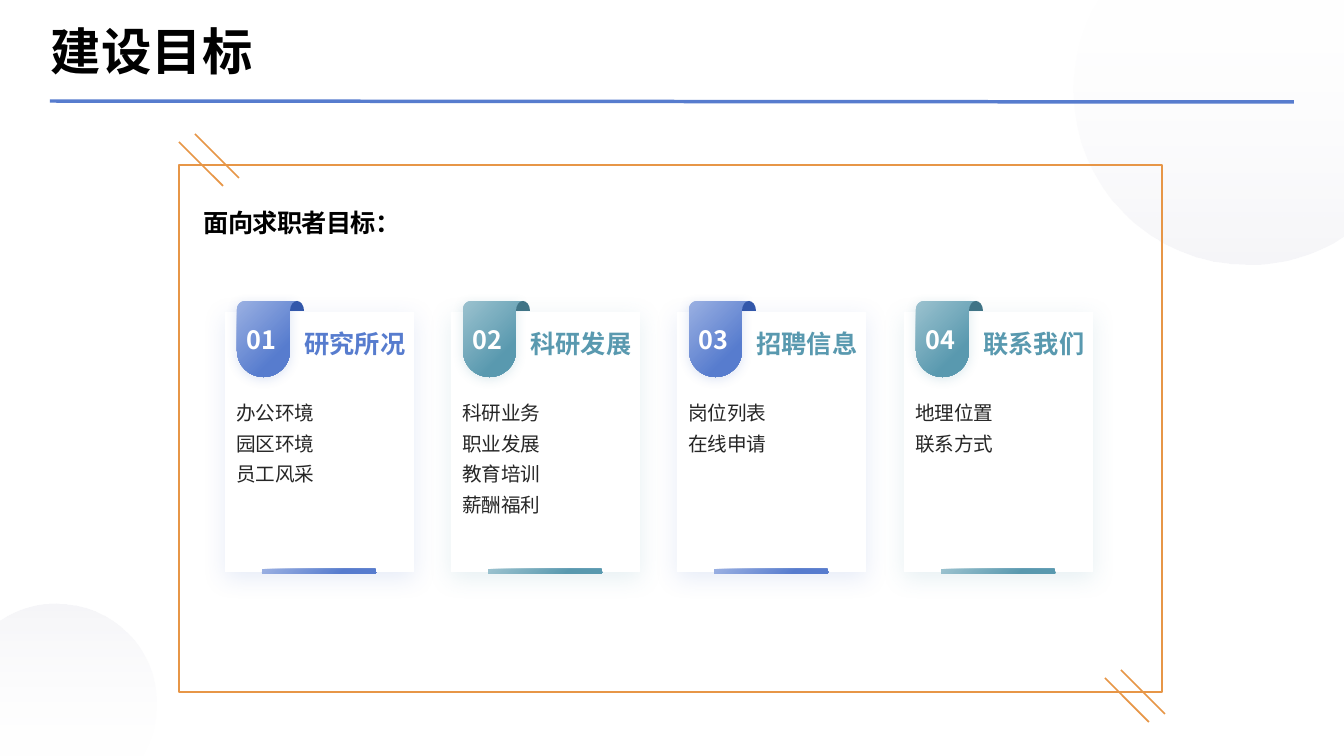
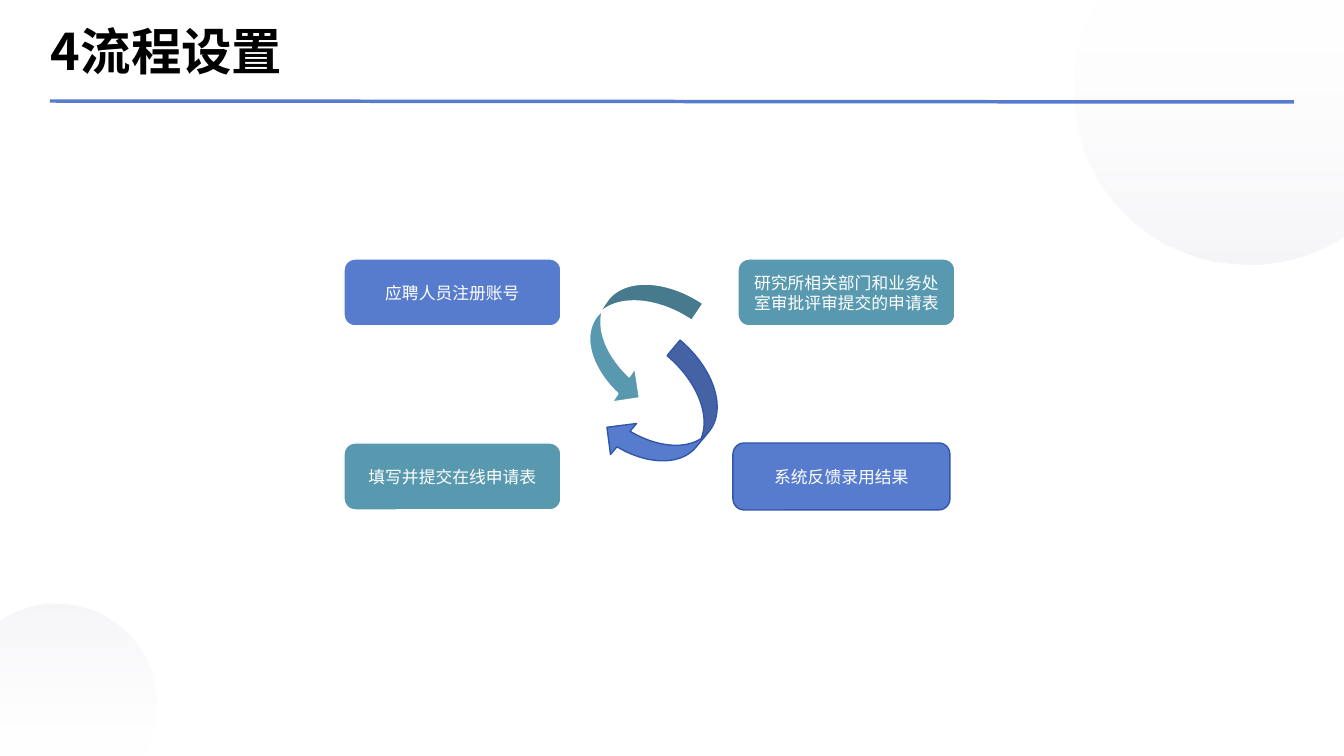
import math

from lxml import etree
from pptx import Presentation
from pptx import util as u
from pptx.dml.color import RGBColor
from pptx.enum import shapes, text
from pptx.oxml.ns import qn

SCALE = u.Inches(1) / 100.8
WIDTH, HEIGHT = 1344, 756
FONT = "Noto Sans CJK SC"
BLUE, BLUE_LIGHT, BLUE_DARK = "577CCE", "9AB0E2", "3257AA"
TEAL, TEAL_LIGHT, TEAL_DARK = "5999AF", "9BC2CF", "407486"
ORANGE, WHITE, BLACK, GREY = "E79647", "FFFFFF", "000000", "262626"
BLUES = (BLUE, BLUE_LIGHT, BLUE_DARK)
TEALS = (TEAL, TEAL_LIGHT, TEAL_DARK)
LEFT, CENTER = text.PP_ALIGN.LEFT, text.PP_ALIGN.CENTER
TOP, MIDDLE = text.MSO_ANCHOR.TOP, text.MSO_ANCHOR.MIDDLE
PRESET = shapes.MSO_SHAPE

# Heading, palette, heading colour, items
CARDS = [
    ("研究所况", BLUES, BLUE, ["办公环境", "园区环境", "员工风采"]),
    ("科研发展", TEALS, TEAL, ["科研业务", "职业发展", "教育培训", "薪酬福利"]),
    ("招聘信息", BLUES, TEAL, ["岗位列表", "在线申请"]),
    ("联系我们", TEALS, TEAL, ["地理位置", "联系方式"]),
]
# Left, top, fill, outline, wording
STEPS = [
    (344, 259, BLUE, WHITE, "应聘人员注册账号"),
    (344, 443, TEAL, WHITE, "填写并提交在线申请表"),
    (738, 259, TEAL, WHITE, "研究所相关部门和业务处室审批评审提交的申请表"),
    (733, 443, BLUE, BLUE_DARK, "系统反馈录用结果"),
]
# Preset, left, top, rotation, fill, outline
ARROWS = [
    (PRESET.CURVED_UP_ARROW, 565, 296, 124, TEAL, WHITE),
    (PRESET.CURVED_DOWN_ARROW, 601, 377, 130, BLUE, BLUE_DARK),
]


def px(value):
    return u.Emu(round(value * SCALE))


def rgb(color):
    return RGBColor.from_string(color)


# Fills, lines and effects
def paint(shape, fill=None, line=None, line_width=1):
    shape.shadow.inherit = False
    if fill:
        shape.fill.solid()
        shape.fill.fore_color.rgb = rgb(fill)
    else:
        shape.fill.background()
    if line:
        shape.line.color.rgb = rgb(line)
        shape.line.width = u.Pt(line_width)
    else:
        shape.line.fill.background()


def add_alpha(color_element, percent):
    etree.SubElement(color_element, qn("a:alpha"), val=str(percent * 1000))


def paint_gradient(shape, stops, angle):
    """Each stop is (position in percent, colour, opacity in percent)."""
    paint(shape)
    shape.fill.gradient()
    shape.fill.gradient_angle = 360 - angle
    for stop, (position, color, _) in zip(shape.fill.gradient_stops, stops):
        stop.position = position / 100
        stop.color.rgb = rgb(color)
    colors = shape.element.spPr.find(qn("a:gradFill")).iter(qn("a:srgbClr"))
    for element, (_, _, opacity) in zip(list(colors), stops):
        if opacity < 100:
            add_alpha(element, opacity)


def paint_accent(shape, palette):
    paint_gradient(shape, [(0, palette[1], 100), (71, palette[0], 100)], 45)


def cast_shadow(shape, color, opacity, blur, distance):
    effects = shape.element.spPr.find(qn("a:effectLst"))
    shadow = etree.SubElement(
        effects, qn("a:outerShdw"), blurRad=str(u.Pt(blur)),
        dist=str(u.Pt(distance)), dir="5400000", algn="t", rotWithShape="0")
    add_alpha(etree.SubElement(shadow, qn("a:srgbClr"), val=color), opacity)


# Elements
def add_preset(slide, preset, left, top, width, height):
    return slide.shapes.add_shape(preset, px(left), px(top), px(width), px(height))


def add_line(slide, start, end, color, width):
    line = slide.shapes.add_connector(
        shapes.MSO_CONNECTOR.STRAIGHT, *map(px, start), *map(px, end))
    line.line.color.rgb = rgb(color)
    line.line.width = u.Pt(width)
    etree.SubElement(line.element.spPr, qn("a:effectLst"))


def curve(center_x, center_y, radius_x, radius_y, *angles):
    """Bezier segments of an elliptical arc through the given angles."""
    def place(angle, pull):
        cosine, sine = math.cos(angle), math.sin(angle)
        return (center_x + radius_x * (cosine - pull * sine),
                center_y + radius_y * (sine + pull * cosine))

    radians = [math.radians(angle) for angle in angles]
    segments = []
    for start, end in zip(radians, radians[1:]):
        pull = 4 / 3 * math.tan((end - start) / 4)
        segments.append([place(start, pull), place(end, -pull), place(end, 0)])
    return segments


def add_outline(slide, start, segments):
    """A segment of one point is a line, one of three points a Bezier curve."""
    builder = slide.shapes.build_freeform(*map(px, start), scale=1.0)
    builder.add_line_segments(
        [(px(x), px(y)) for segment in segments for x, y in segment], close=True)
    shape = builder.convert_to_shape()
    lines = iter(list(shape.element.spPr.iter(qn("a:lnTo"))))
    for segment in segments:
        first, *others = [next(lines) for _ in segment]
        if others:
            bezier = etree.Element(qn("a:cubicBezTo"))
            first.addprevious(bezier)
            for line in (first, *others):
                bezier.append(line[0])
                line.getparent().remove(line)
    return shape


def write(shape, lines, size, color, bold=False, align=LEFT, anchor=MIDDLE,
          insets=(0, 0, 0, 0), wrap=True, spacing=None, font=FONT):
    frame = shape.text_frame
    frame.word_wrap = wrap
    frame.vertical_anchor = anchor
    (frame.margin_left, frame.margin_top,
     frame.margin_right, frame.margin_bottom) = map(px, insets)
    frame.text = "\n".join(lines)
    for paragraph in frame.paragraphs:
        paragraph.alignment = align
        if spacing:
            paragraph.line_spacing = spacing
        paragraph.font.size = u.Pt(size)
        paragraph.font.bold = bold
        paragraph.font.color.rgb = rgb(color)
        paragraph.font.name = font
        etree.SubElement(font_element(paragraph), qn("a:ea"), typeface=FONT)
    return frame


def font_element(paragraph):
    return paragraph._p.pPr.find(qn("a:defRPr"))


def add_text(slide, left, top, width, height, lines, size, color, **style):
    box = slide.shapes.add_textbox(px(left), px(top), px(width), px(height))
    return write(box, lines, size, color, **style)


# Shared background, title and rule
def add_corner_circles(slide):
    clear, tinted = (WHITE, 10), ("D8D8E4", 24)
    x, y, radius = 1248, 91, 174
    right = math.degrees(math.acos((WIDTH - x) / radius))
    top = 180 + math.degrees(math.asin(y / radius))
    arcs = curve(x, y, radius, radius, right, 90, 180, top)
    circle = add_outline(slide, (WIDTH, 0), [[(WIDTH, arcs[0][0][1])]][:0]
                         + [[(WIDTH, y + radius * math.sin(math.radians(right)))]] + arcs)
    paint_gradient(circle, [(0, *clear), (100, *tinted)], 90)

    x, y, radius = 56, 704, 100
    left = 180 + math.degrees(math.acos(x / radius))
    bottom = 360 + math.degrees(math.asin((HEIGHT - y) / radius))
    arcs = curve(x, y, radius, radius, left, 270, 360, bottom)
    edge = y + radius * math.sin(math.radians(left))
    circle = add_outline(slide, (0, HEIGHT), [[(0, edge)]] + arcs)
    paint_gradient(circle, [(0, *tinted), (100, *clear)], 90)


def add_titled_slide(presentation, title):
    slide = presentation.slides.add_slide(presentation.slide_layouts[6])
    add_corner_circles(slide)
    add_line(slide, (50, 101), (1294, 102), BLUE, 2.5)
    add_text(slide, 51, 17, 1243, 67, [title], 36, BLACK, bold=True)
    return slide


# Goals slide
def add_frame(slide):
    frame = add_preset(slide, PRESET.RECTANGLE, 179, 165, 983, 527)
    paint(frame, line=ORANGE, line_width=1.5)
    for shift_x, shift_y in [(0, 0), (926, 536)]:
        for x, y in [(195, 134), (179, 142)]:
            start = (x + shift_x, y + shift_y)
            add_line(slide, start, (start[0] + 44, start[1] + 44), ORANGE, 1.25)


def add_ribbon(slide, left, top, number, palette):
    body = (curve(left + 8, top + 8, 8, 8, 180, 270)
            + [[(left + 59, top)]]
            + curve(left + 59, top + 10, 6, 10, 270, 180)
            + [[(left + 53, top + 50)]]
            + curve(left + 26.5, top + 50, 26.5, 26, 0, 90, 180))
    ribbon = add_outline(slide, (left, top + 8), body)
    paint_accent(ribbon, palette)
    cast_shadow(ribbon, palette[0], 20, 8, 2)
    write(ribbon, [number], 18, WHITE, bold=True, align=CENTER,
          insets=(10, 5, 20, 5), wrap=False)
    fold = add_outline(slide, (left + 53, top + 10),
                       curve(left + 60, top + 10, 7, 10, 180, 270, 360))
    paint(fold, palette[2])


def add_card(slide, left, number, heading, palette, heading_color, items):
    card = add_preset(slide, PRESET.RECTANGLE, left, 312, 189, 260)
    paint(card, WHITE)
    cast_shadow(card, palette[0], 15, 17, 4)
    add_ribbon(slide, left + 12, 301, number, palette)
    bar = add_preset(slide, PRESET.ROUNDED_RECTANGLE, left + 37, 569, 114, 5)
    paint_accent(bar, palette)
    add_text(slide, left + 79, 328, 102, 62, [heading], 18, heading_color,
             bold=True, align=CENTER, anchor=TOP)
    add_text(slide, left + 11, 394, 166, 157, items, 14, GREY, anchor=TOP, spacing=1.3)


def build_goals(presentation):
    slide = add_titled_slide(presentation, "建设目标")
    add_frame(slide)
    frame = add_text(slide, 197, 189, 924, 60, ["面向求职者目标："], 18, BLACK,
                     bold=True, insets=(7, 3, 7, 3), spacing=1.2, font="Arial")
    paragraph = frame.paragraphs[0]
    paragraph.space_after = u.Pt(8)
    font_element(paragraph).set("spc", "-50")
    for index, card in enumerate(CARDS):
        add_card(slide, int(225 + 226.4 * index), f"{index + 1:02}", *card)


# Process slide
def build_process(presentation):
    slide = add_titled_slide(presentation, "4流程设置")
    for left, top, fill, line, wording in STEPS:
        step = add_preset(slide, PRESET.ROUNDED_RECTANGLE, left, top, 217, 67)
        paint(step, fill, line)
        write(step, [wording], 12, WHITE, align=CENTER,
              insets=(10, 5, 10, 5), font="Arial")
    for preset, left, top, rotation, fill, line in ARROWS:
        arrow = add_preset(slide, preset, left, top, 134, 81)
        arrow.rotation = rotation
        paint(arrow, fill, line)


def main():
    presentation = Presentation()
    presentation.slide_width, presentation.slide_height = px(WIDTH), px(HEIGHT)
    build_goals(presentation)
    build_process(presentation)
    presentation.save("out.pptx")


if __name__ == "__main__":
    main()
